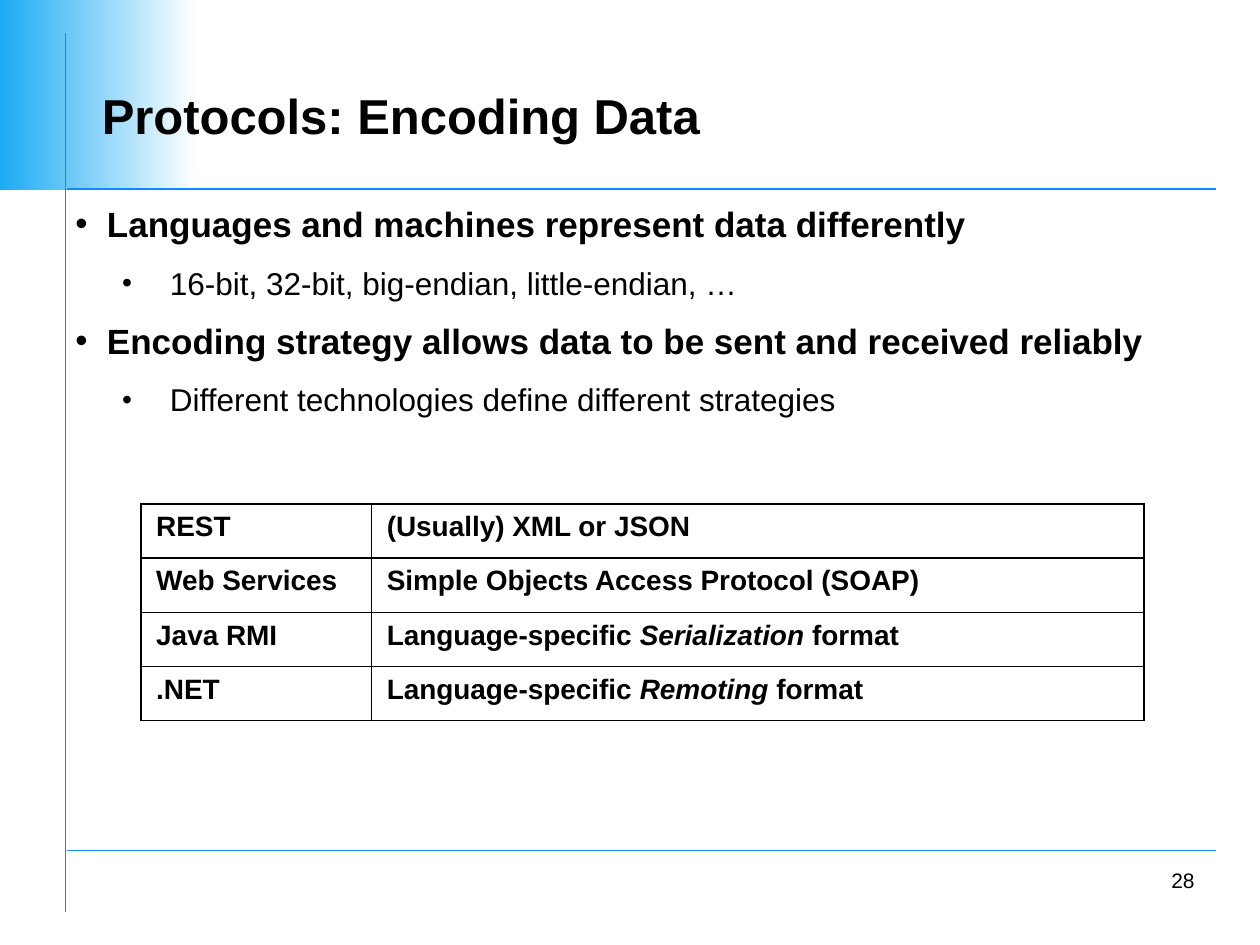
from dataclasses import dataclass
from pptx import Presentation
from pptx.dml.color import RGBColor
from pptx.enum.shapes import MSO_CONNECTOR, MSO_SHAPE
from pptx.enum.text import MSO_ANCHOR, PP_ALIGN
from pptx.oxml.ns import qn
from pptx.util import Inches, Pt
from lxml.etree import SubElement


@dataclass(frozen=True)
class Theme:
    font: str = "Arial"
    ink: str = "000000"
    line: str = "0B8BFF"
    glow: str = "1BABF3"
    paper: str = "FFFFFF"
    title: int = 28
    head: int = 20
    item: int = 18
    cell: int = 16
    small: int = 12
    gap: float = 0.55


THEME = Theme()
WIDE, HIGH = Inches(10), Inches(7.5)
COLS, ROWS = 100, 75

POINTS = [
    (0, "Languages and machines represent data differently"),
    (1, "16-bit, 32-bit, big-endian, little-endian, …"),
    (0, "Encoding strategy allows data to be sent and received reliably"),
    (1, "Different technologies define different strategies"),
]
FORMATS = [
    (["REST"], ["(Usually) XML or JSON"]),
    (["Web Services"], ["Simple Objects Access Protocol (SOAP)"]),
    (["Java RMI"], ["Language-specific ", "Serialization", " format"]),
    ([".NET"], ["Language-specific ", "Remoting", " format"]),
]


def col(n):
    return round(WIDE * n / COLS)


def row(n):
    return round(HIGH * n / ROWS)


def area(x, y, w, h):
    return col(x), row(y), col(w), row(h)


def write(para, parts, size, bold=False, align=PP_ALIGN.LEFT, after=0):
    para.alignment = align
    para.space_after = Pt(after)
    for i, part in enumerate(parts):
        run = para.add_run()
        run.text = part
        font = run.font
        font.name, font.size, font.bold = THEME.font, Pt(size), bold
        font.italic = i % 2 == 1
        font.color.rgb = RGBColor.from_string(THEME.ink)


def add_box(slide, place, anchor=MSO_ANCHOR.MIDDLE, wrap=True):
    frame = slide.shapes.add_textbox(*area(*place)).text_frame
    frame.word_wrap = wrap
    frame.vertical_anchor = anchor
    return frame


def add_glow(slide, place):
    shape = slide.shapes.add_shape(MSO_SHAPE.RECTANGLE, *area(*place))
    shape.shadow.inherit = False
    shape.line.fill.background()
    shape.fill.gradient()
    shape.fill.gradient_angle = 0
    for stop, tone, spot in zip(shape.fill.gradient_stops, (THEME.glow, THEME.paper), (0, 1)):
        stop.color.rgb = RGBColor.from_string(tone)
        stop.position = spot


def add_rule(slide, x1, y1, x2, y2):
    rule = slide.shapes.add_connector(MSO_CONNECTOR.STRAIGHT, col(x1), row(y1), col(x2), row(y2))
    rule.line.width = Pt(1)
    rule.line.color.rgb = RGBColor.from_string(THEME.line)
    SubElement(rule._element.spPr, qn("a:effectLst"))


def add_dot(para, left, hang, scale):
    props = para._p.get_or_add_pPr()
    props.set("marL", str(Inches(left)))
    props.set("indent", str(-Inches(hang)))
    tint = SubElement(props, qn("a:buClr"))
    SubElement(tint, qn("a:srgbClr"), val=THEME.ink)
    SubElement(props, qn("a:buSzPct"), val=str(scale * 1000))
    SubElement(props, qn("a:buFont"), typeface=THEME.font)
    SubElement(props, qn("a:buChar"), char="•")


def add_list(slide, place, points):
    frame = add_box(slide, place, MSO_ANCHOR.TOP)
    for i, (level, text) in enumerate(points):
        para = frame.add_paragraph() if i else frame.paragraphs[0]
        para.level = level
        size = THEME.item if level else THEME.head
        write(para, [text], size, bold=level == 0, after=size * THEME.gap)
        add_dot(para, *((0.75, 0.38, 90) if level else (0.25, 0.25, 100)))


def add_edge(cell):
    props = cell._tc.get_or_add_tcPr()
    for side in ("lnL", "lnR", "lnT", "lnB"):
        edge = SubElement(props, qn("a:" + side), w=str(Pt(1)))
        fill = SubElement(edge, qn("a:solidFill"))
        SubElement(fill, qn("a:srgbClr"), val=THEME.ink)


def add_grid(slide, place, widths, data):
    table = slide.shapes.add_table(len(data), len(widths), *area(*place)).table
    table.first_row = table.horz_banding = False
    for column, width in zip(table.columns, widths):
        column.width = col(width)
    for r, line in enumerate(data):
        for c, parts in enumerate(line):
            cell = table.cell(r, c)
            cell.margin_left = cell.margin_right = Inches(0.12)
            cell.margin_top = cell.margin_bottom = Inches(0.06)
            add_edge(cell)
            cell.fill.background()
            write(cell.text_frame.paragraphs[0], parts, THEME.cell, bold=True)


def main():
    deck = Presentation()
    deck.slide_width, deck.slide_height = WIDE, HIGH
    slide = deck.slides.add_slide(deck.slide_layouts[6])
    add_glow(slide, (0, 0, 15.6, 15.1))
    for y in (67.5, 15):
        add_rule(slide, 5.3, y, 96.5, y)
    add_rule(slide, 5.2, 2.6, 5.2, 72.4)
    page = add_box(slide, (75, 68.3, 20.8, 3.1), wrap=False)
    write(page.paragraphs[0], ["28"], THEME.small, align=PP_ALIGN.RIGHT)
    title = add_box(slide, (7.1, 5.8, 88.7, 6.7))
    write(title.paragraphs[0], ["Protocols: Encoding Data"], THEME.title, bold=True)
    add_list(slide, (5, 15.6, 88.8, 25.3), POINTS)
    add_grid(slide, (11.2, 40, 79.6, 17.2), (18.3, 61.3), FORMATS)
    deck.save("out.pptx")


if __name__ == "__main__":
    main()
